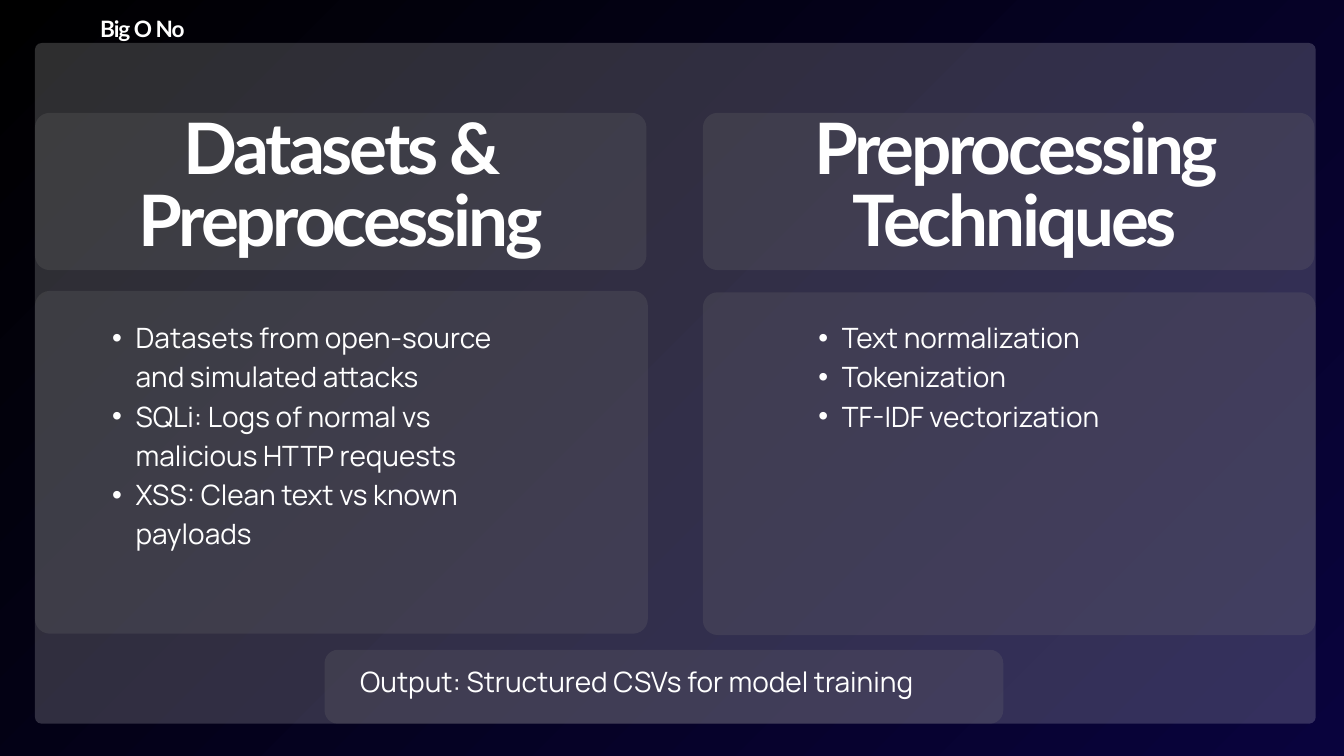
from dataclasses import dataclass

from lxml.etree import SubElement
from pptx import Presentation
from pptx.dml.color import RGBColor
from pptx.enum.shapes import MSO_SHAPE as Shape
from pptx.enum.text import MSO_AUTO_SIZE as AutoSize, PP_ALIGN as Align
from pptx.oxml.ns import qn
from pptx.slide import Slide
from pptx.util import Inches, Pt

WHITE = RGBColor(0xFF, 0xFF, 0xFF)
GRAY = RGBColor(0x73, 0x73, 0x73)
BLACK = RGBColor(0x00, 0x00, 0x00)
NAVY = RGBColor(0x09, 0x03, 0x3D)


@dataclass(frozen=True)
class Box:
    left: float
    top: float
    width: float
    height: float


@dataclass(frozen=True)
class Style:
    font: str
    size: float
    leading: float
    bold: bool = False
    tracking: float = 0
    align: Align = Align.LEFT
    bulleted: bool = False


@dataclass(frozen=True)
class Topic:
    heading: str
    points: tuple[str, ...]
    left: float
    card_top: float
    heading_left: float
    points_left: float
    points_height: float


TEAM = Style("Lato", 24.2, 33.9, bold=True, tracking=-1.1)
HEADING = Style("Lato", 76, 77.5, bold=True, tracking=-3.4, align=Align.CENTER)
BODY = Style("Manrope", 30, 42)
POINTS = Style("Manrope", 30, 42, bulleted=True)

TOPICS = (
    Topic(
        "Datasets & Preprocessing",
        (
            "Datasets from open-source and simulated attacks",
            "SQLi: Logs of normal vs malicious HTTP requests",
            "XSS: Clean text vs known payloads",
        ),
        0.52, 4.33, 0.88, 1.31, 4.68,
    ),
    Topic(
        "Preprocessing Techniques",
        ("Text normalization", "Tokenization", "TF-IDF vectorization"),
        10.46, 4.35, 10.91, 11.82, 2.34,
    ),
)


def paint_background(slide: Slide) -> None:
    fill = slide.background.fill
    fill.gradient()
    for stop, color, position in zip(fill.gradient_stops, (BLACK, NAVY), (0, 1)):
        stop.color.rgb = color
        stop.position = position
    gradient = slide.element.find(".//" + qn("a:gradFill"))
    gradient.remove(gradient.find(qn("a:lin")))
    radial = SubElement(gradient, qn("a:path"), {"path": "circle"})
    SubElement(radial, qn("a:fillToRect"), {"r": "100000", "b": "100000"})


def add_panel(slide: Slide, box: Box, radius: float, color: RGBColor, opacity: int) -> None:
    panel = slide.shapes.add_shape(
        Shape.ROUNDED_RECTANGLE,
        Inches(box.left), Inches(box.top), Inches(box.width), Inches(box.height),
    )
    panel.adjustments[0] = radius / min(box.width, box.height)
    panel.shadow.inherit = False
    panel.line.fill.background()
    panel.fill.solid()
    panel.fill.fore_color.rgb = color
    tint = panel.element.spPr.find(qn("a:solidFill")).find(qn("a:srgbClr"))
    SubElement(tint, qn("a:alpha"), {"val": str(opacity * 1000)})


def add_text(slide: Slide, box: Box, lines: tuple[str, ...], style: Style) -> None:
    frame = slide.shapes.add_textbox(
        Inches(box.left), Inches(box.top), Inches(box.width), Inches(box.height)
    ).text_frame
    frame_format = {
        "word_wrap": True,
        "auto_size": AutoSize.SHAPE_TO_FIT_TEXT,
        "margin_left": 0,
        "margin_top": 0,
        "margin_right": 0,
        "margin_bottom": 0,
    }
    for name, value in frame_format.items():
        setattr(frame, name, value)
    font_format = {"name": style.font, "size": Pt(style.size), "bold": style.bold}
    for index, line in enumerate(lines):
        paragraph = frame.paragraphs[0] if index == 0 else frame.add_paragraph()
        paragraph.alignment = style.align
        paragraph.line_spacing = Pt(style.leading)
        run = paragraph.add_run()
        run.text = line
        for name, value in font_format.items():
            setattr(run.font, name, value)
        run.font.color.rgb = WHITE
        if style.tracking:
            run.font._element.set("spc", str(round(style.tracking * 100)))
        if style.bulleted:
            paragraph.level = 1
            properties = paragraph._p.get_or_add_pPr()
            properties.set("marL", str(Inches(0.71)))
            properties.set("indent", str(Inches(-0.35)))
            SubElement(properties, qn("a:buFont"), {"typeface": "Arial"})
            SubElement(properties, qn("a:buChar"), {"char": "•"})


def add_topic(slide: Slide, topic: Topic) -> None:
    add_panel(slide, Box(topic.left, topic.card_top, 9.12, 5.1), 0.22, GRAY, 22)
    add_panel(slide, Box(topic.left, 1.68, 9.1, 2.34), 0.22, GRAY, 22)
    add_text(slide, Box(topic.points_left, 4.69, 6.23, topic.points_height), topic.points, POINTS)
    add_text(slide, Box(topic.heading_left, 1.73, 8.38, 2.28), (topic.heading,), HEADING)


def main() -> None:
    deck = Presentation()
    deck.slide_width = Inches(20)
    deck.slide_height = Inches(11.25)
    slide = deck.slides.add_slide(deck.slide_layouts[6])
    paint_background(slide)
    add_panel(slide, Box(0.52, 0.64, 19.06, 10.13), 0.1, WHITE, 18)
    add_text(slide, Box(1.49, 0.15, 2.94, 0.49), ("Big O No",), TEAM)
    for topic in TOPICS:
        add_topic(slide, topic)
    add_panel(slide, Box(4.83, 9.67, 10.1, 1.1), 0.2, GRAY, 22)
    add_text(
        slide, Box(5.36, 9.8, 9.06, 1.18), ("Output: Structured CSVs for model training",), BODY
    )
    deck.save("out.pptx")


if __name__ == "__main__":
    main()
